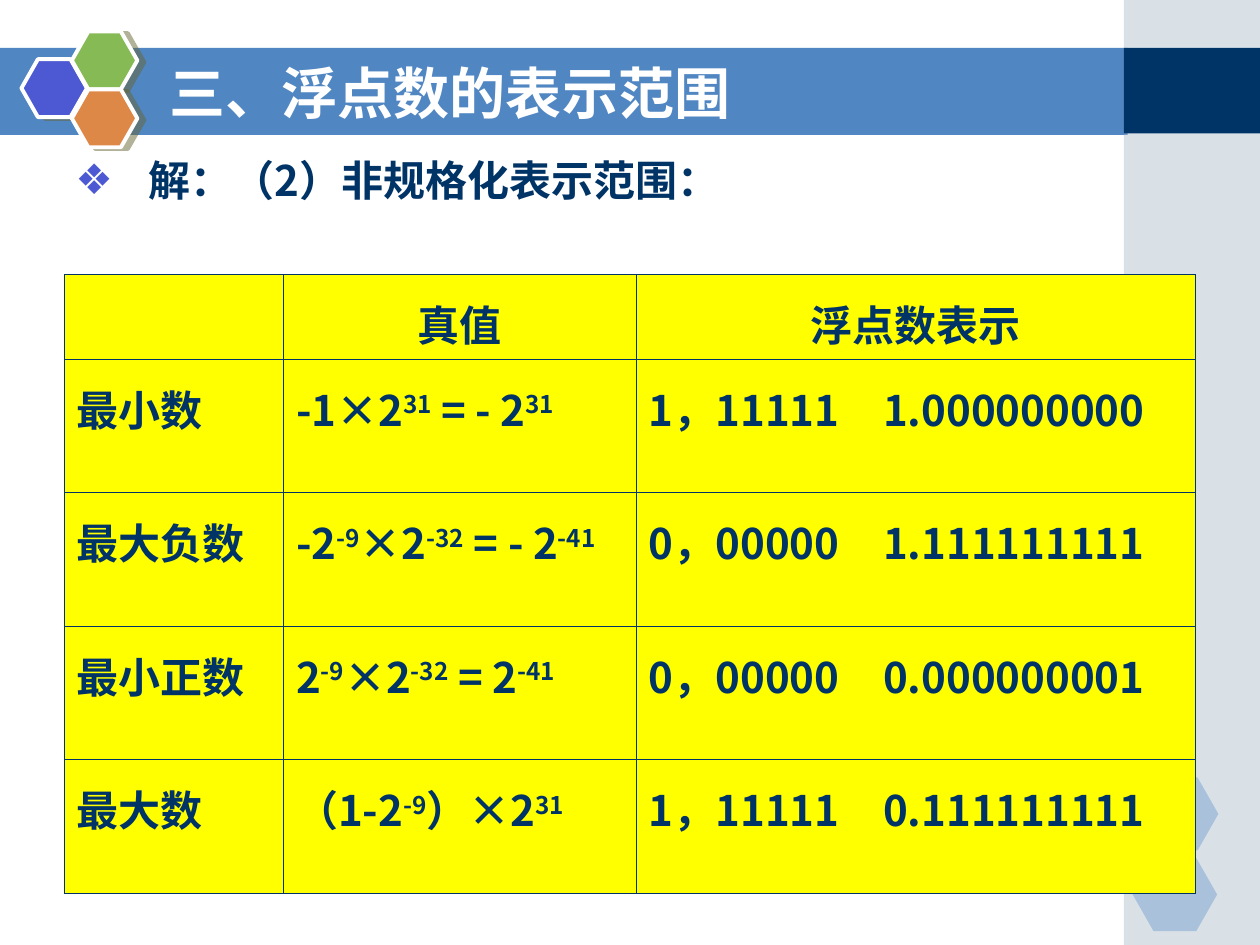
from lxml import etree
from pptx import Presentation
from pptx.dml.color import RGBColor
from pptx.enum.shapes import MSO_SHAPE
from pptx.enum.text import MSO_ANCHOR, PP_ALIGN
from pptx.oxml import parse_xml
from pptx.oxml.ns import nsdecls, qn
from pptx.util import Inches, Pt

RECTANGLE, HEXAGON = MSO_SHAPE.RECTANGLE, MSO_SHAPE.HEXAGON
MIDDLE, TOP = MSO_ANCHOR.MIDDLE, MSO_ANCHOR.TOP
LEFT, CENTER = PP_ALIGN.LEFT, PP_ALIGN.CENTER

TITLE = "三、浮点数的表示范围"
INTRO = "解：（2）非规格化表示范围："
# In a cell, every second piece of text is an exponent.
TABLE = [
    [(), ("真值",), ("浮点数表示",)],
    [("最小数",), ("-1×2", "31", " = - 2", "31"), ("1，11111\t1.000000000",)],
    [("最大负数",), ("-2", "-9", "×2", "-32", " = - 2", "-41"), ("0，00000\t1.111111111",)],
    [("最小正数",), ("2", "-9", "×2", "-32", " = 2", "-41"), ("0，00000\t0.000000001",)],
    [("最大数",), ("（1-2", "-9", "）×2", "31"), ("1，11111\t0.111111111",)],
]
COLUMN_WIDTHS = [1.74, 2.8, 4.44]
ROW_HEIGHTS = [0.67] + [1.06] * 4
TABLE_LEFT, TABLE_TOP = 0.51, 2.18
MANTISSA_TAB = 1.86

THEME = {
    "font": "Noto Sans CJK SC", "bullet_font": "DejaVu Sans",
    "title_size": 32, "body_size": 24,
    "white": "FFFFFF", "navy": "003366", "band": "5086C2", "panel": "A0B5C4",
    "cell": "FFFF00", "bullet": "4C59D2", "shadow": "666633",
}
BACKDROP = [  # kind, (left, top, width, height), colour, opacity in percent
    (RECTANGLE, (0, 0.38, 8.95, 0.69), THEME["band"], 100),
    (RECTANGLE, (8.92, 0, 1.08, 7.5), THEME["panel"], 40),
    (RECTANGLE, (8.92, 0.38, 1.08, 0.68), THEME["navy"], 100),
    (HEXAGON, (9, 6.17, 0.67, 0.58), THEME["band"], 35),
    (HEXAGON, (8.99, 6.81, 0.67, 0.58), THEME["band"], 35),
]
EMBLEM = [(0.17, 0.47, "4C59D2"), (0.57, 0.25, "85BA54"), (0.57, 0.71, "DE8848")]


def color(name):
    return RGBColor.from_string(name)


def add_filled_shape(slide, kind, box, fill, opacity=100):
    shape = slide.shapes.add_shape(kind, *map(Inches, box))
    shape.shadow.inherit = False
    shape.fill.solid()
    shape.fill.fore_color.rgb = color(fill)
    shape.line.fill.background()
    if kind == HEXAGON:
        shape.adjustments[0] = 0.285
    if opacity < 100:
        fill_color = shape._element.spPr.find(qn("a:solidFill"))[0]
        etree.SubElement(fill_color, qn("a:alpha")).set("val", str(opacity * 1000))
    return shape


def add_emblem_tile(slide, left, top, fill):
    tile = add_filled_shape(slide, HEXAGON, (left, top, 0.52, 0.46), fill)
    tile.line.color.rgb = color(THEME["white"])
    tile.line.width = Pt(2.25)
    effects = tile._element.spPr.find(qn("a:effectLst"))
    effects.append(parse_xml(
        f'<a:outerShdw {nsdecls("a")} blurRad="0" dist="{Pt(4.1)}" dir="{14 * 60000}">'
        f'<a:srgbClr val="{THEME["shadow"]}"><a:alpha val="50000"/></a:srgbClr>'
        '</a:outerShdw>'))


def add_run(paragraph, text, size, text_color, superscript=False):
    run = paragraph.add_run()
    run.text = text
    font = run.font
    font.name, font.size, font.bold = THEME["font"], Pt(size), True
    font.color.rgb = color(text_color)
    properties = run._r.get_or_add_rPr()
    etree.SubElement(properties, qn("a:ea")).set("typeface", THEME["font"])
    if superscript:
        properties.set("baseline", "30000")


def add_text(slide, box, text, size, text_color, anchor=TOP):
    frame = slide.shapes.add_textbox(*map(Inches, box)).text_frame
    frame.word_wrap = True
    frame.vertical_anchor = anchor
    paragraph = frame.paragraphs[0]
    add_run(paragraph, text, size, text_color)
    return paragraph


def add_bullet(paragraph, indent):
    properties = paragraph._p.get_or_add_pPr()
    properties.set("marL", str(Inches(indent)))
    properties.set("indent", str(-Inches(indent)))
    bullet_color = etree.SubElement(properties, qn("a:buClr"))
    etree.SubElement(bullet_color, qn("a:srgbClr")).set("val", THEME["bullet"])
    etree.SubElement(properties, qn("a:buFont")).set("typeface", THEME["bullet_font"])
    etree.SubElement(properties, qn("a:buChar")).set("char", "❖")


def add_tab_stop(paragraph, position):
    tabs = etree.SubElement(paragraph._p.get_or_add_pPr(), qn("a:tabLst"))
    tab = etree.SubElement(tabs, qn("a:tab"))
    tab.set("pos", str(Inches(position)))
    tab.set("algn", "l")


def style_cell(cell):
    properties = cell._tc.get_or_add_tcPr()
    for side in ("lnL", "lnR", "lnT", "lnB"):
        properties.append(parse_xml(
            f'<a:{side} {nsdecls("a")} w="{Pt(0.45)}"><a:solidFill>'
            f'<a:srgbClr val="{THEME["navy"]}"/></a:solidFill></a:{side}>'))
    cell.fill.solid()
    cell.fill.fore_color.rgb = color(THEME["cell"])


def fill_cell(cell, pieces, is_header):
    style_cell(cell)
    cell.vertical_anchor = MIDDLE if is_header else TOP
    paragraph = cell.text_frame.paragraphs[0]
    if any("\t" in piece for piece in pieces):
        add_tab_stop(paragraph, MANTISSA_TAB)
    paragraph.alignment = CENTER if is_header else LEFT
    paragraph.line_spacing = 1.2
    for index, piece in enumerate(pieces):
        add_run(paragraph, piece, THEME["body_size"], THEME["navy"], index % 2 == 1)


def add_range_table(slide):
    box = (TABLE_LEFT, TABLE_TOP, sum(COLUMN_WIDTHS), sum(ROW_HEIGHTS))
    table = slide.shapes.add_table(
        len(ROW_HEIGHTS), len(COLUMN_WIDTHS), *map(Inches, box)).table
    for column, width in zip(table.columns, COLUMN_WIDTHS):
        column.width = Inches(width)
    for row_index, (row, height) in enumerate(zip(table.rows, ROW_HEIGHTS)):
        row.height = Inches(height)
        for cell, pieces in zip(row.cells, TABLE[row_index]):
            fill_cell(cell, pieces, row_index == 0)


def main():
    presentation = Presentation()
    presentation.slide_width, presentation.slide_height = Inches(10), Inches(7.5)
    slide = presentation.slides.add_slide(presentation.slide_layouts[6])
    for kind, box, fill, opacity in BACKDROP:
        add_filled_shape(slide, kind, box, fill, opacity)
    for left, top, fill in EMBLEM:
        add_emblem_tile(slide, left, top, fill)
    add_text(slide, (1.25, 0.42, 7.33, 0.62), TITLE,
             THEME["title_size"], THEME["white"], MIDDLE)
    intro = add_text(slide, (0.5, 1.18, 8.27, 0.6), INTRO,
                     THEME["body_size"], THEME["navy"])
    add_bullet(intro, 0.58)
    add_range_table(slide)
    presentation.save("out.pptx")


if __name__ == "__main__":
    main()
